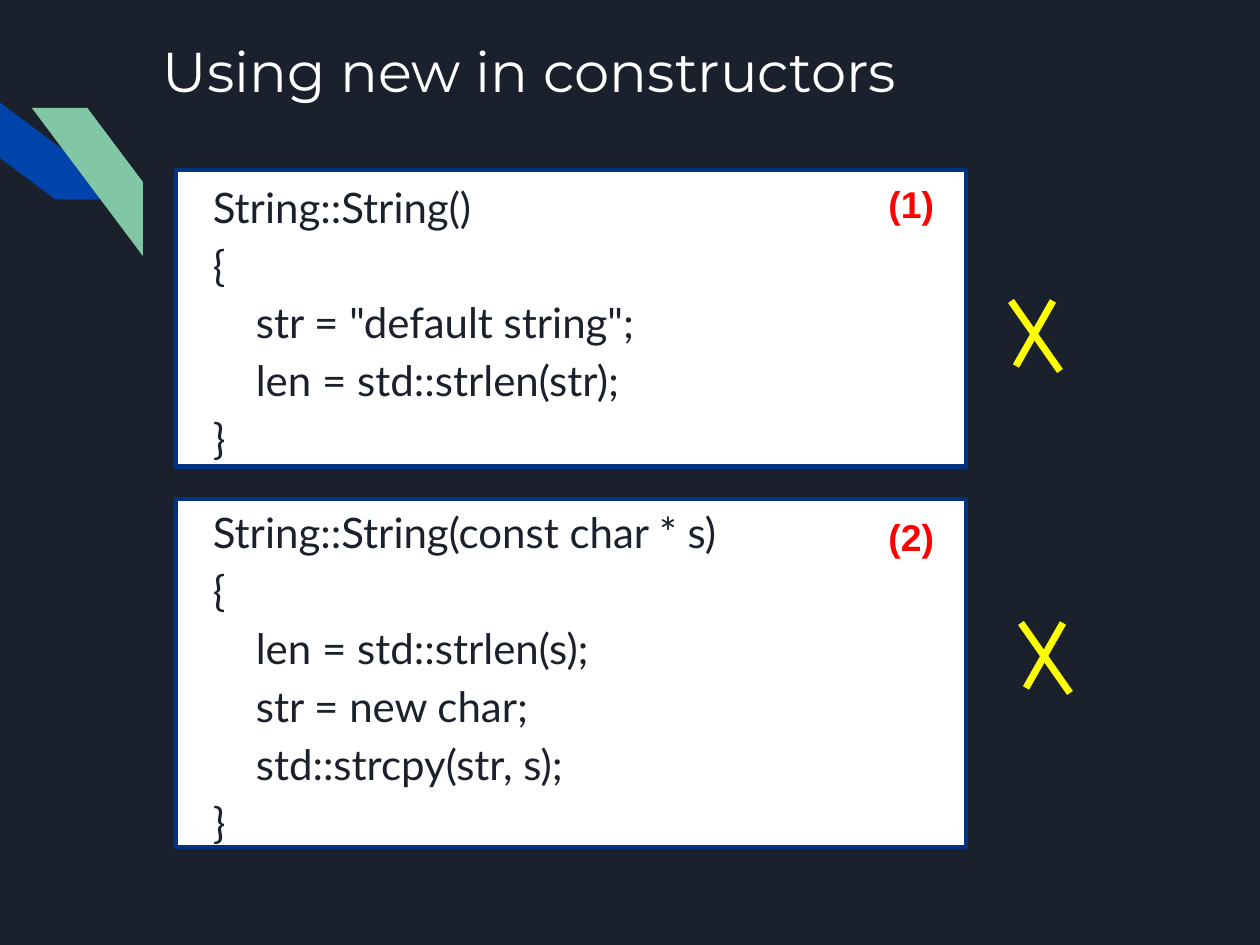
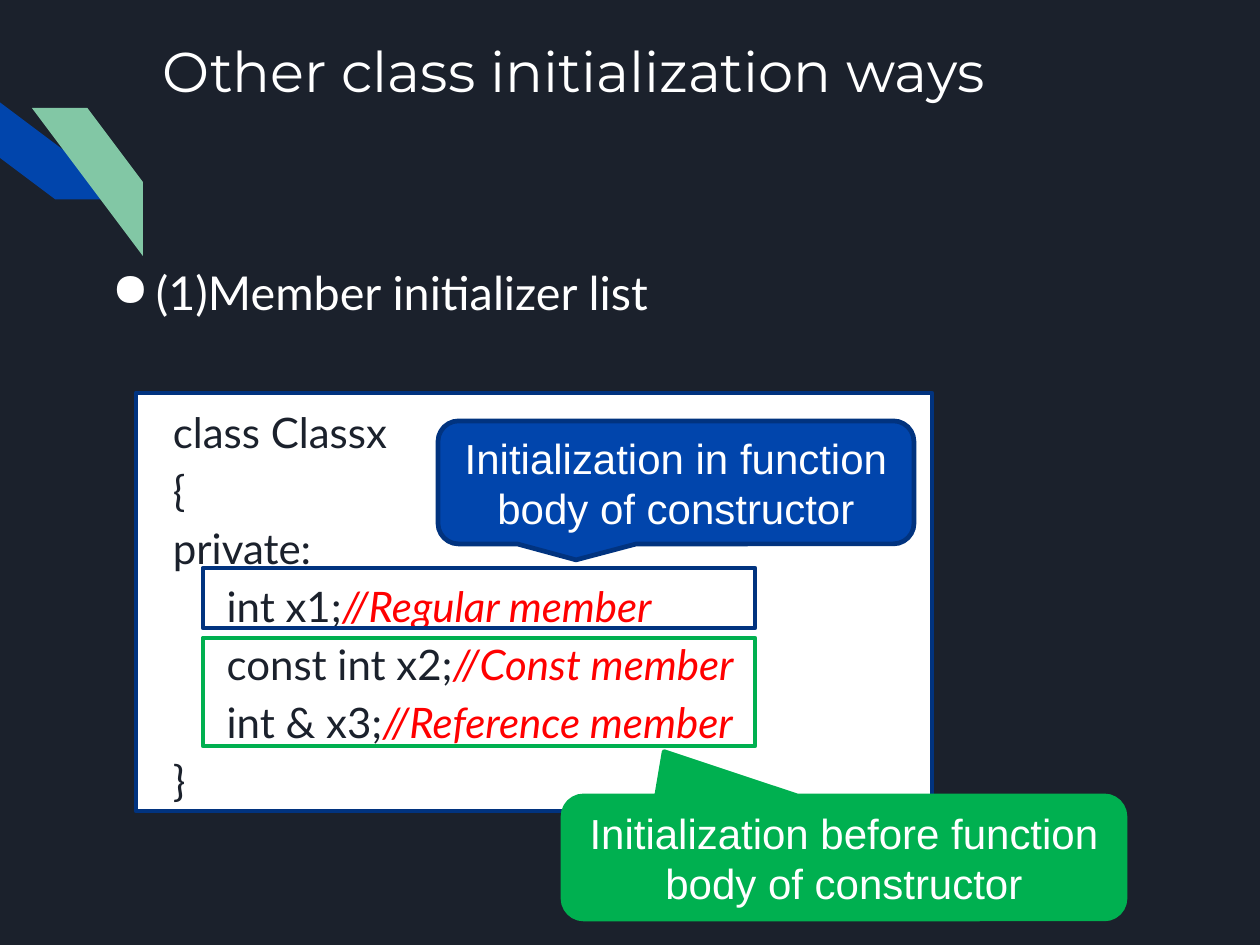
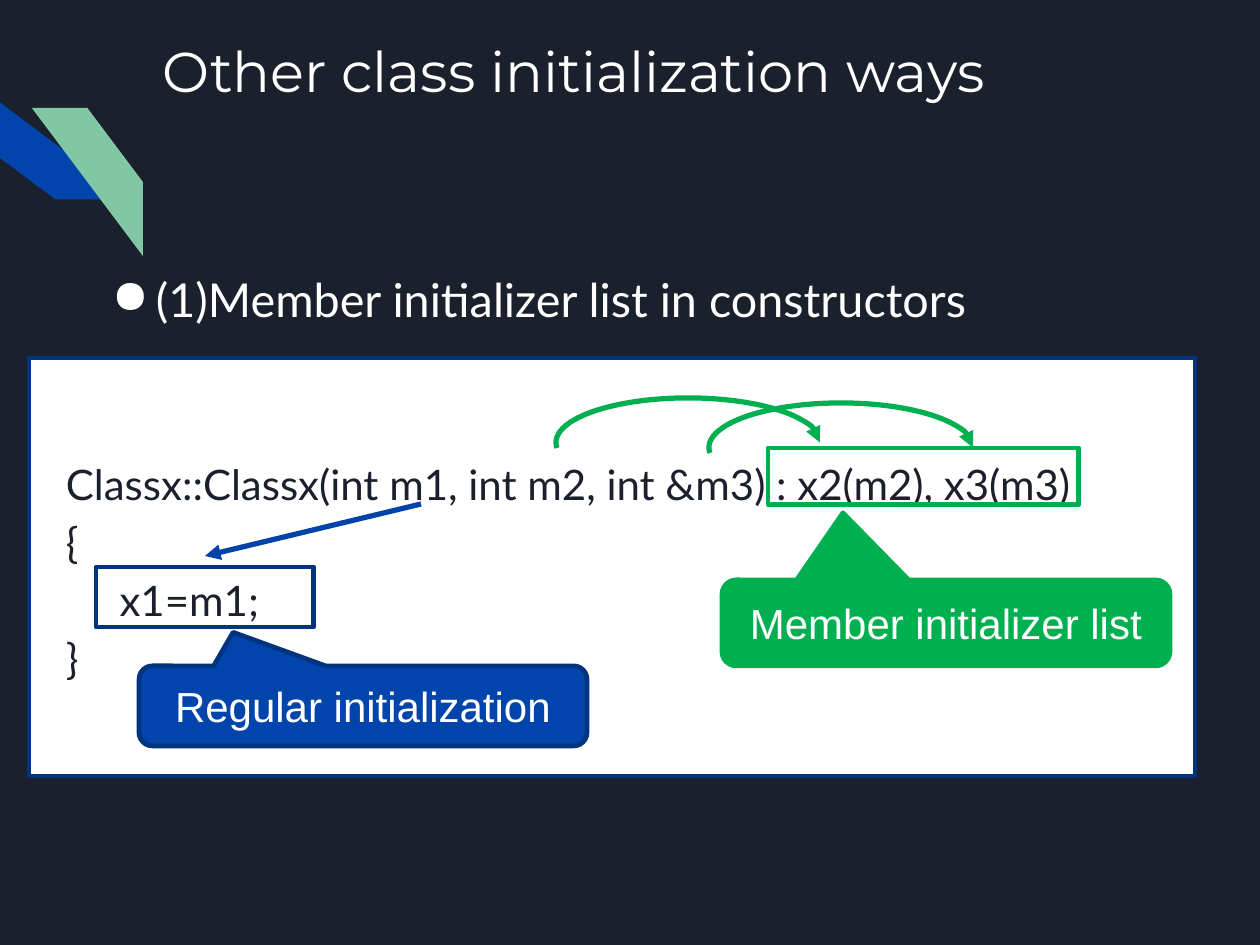
from dataclasses import dataclass
from typing import Optional

from lxml import etree
from pptx import Presentation
from pptx import util as u
from pptx.dml.color import RGBColor
from pptx.enum import shapes, text
from pptx.oxml.ns import qn

EMU_PER_PX = 914400 / 168
SLIDE_W, SLIDE_H = 1260, 945

COLORS = {
    "night": "1B212C",
    "blue": "0145AC",
    "navy": "01337F",
    "arrow_blue": "0043A9",
    "mint": "82C7A5",
    "green": "00B050",
    "yellow": "FFFF00",
    "red": "FF0000",
    "white": "FFFFFF",
}
BODY_FONT, TITLE_FONT, LABEL_FONT = "Lato", "Montserrat", "Arial"
TITLE_ONLY = 5


@dataclass(frozen=True)
class Box:
    left: int
    top: int
    width: int
    height: int

    def emu(self) -> tuple:
        return tuple(map(px, (self.left, self.top, self.width, self.height)))


@dataclass(frozen=True)
class Callout:
    box: Box
    words: str
    fill: str
    line: str
    tip: tuple  # offset from the centre, as shares of width and height


@dataclass(frozen=True)
class Frame:
    box: Box
    color: str


def px(length: int) -> u.Emu:
    return u.Emu(round(length * EMU_PER_PX))


def rgb(name: str) -> RGBColor:
    return RGBColor.from_string(COLORS[name])


def set_font(font, name: str, size: int, color: str, bold: bool = False) -> None:
    font.name, font.size, font.bold = name, u.Pt(size), bold
    font.color.rgb = rgb(color)


def set_insets(frame, side: int, left: Optional[int] = None) -> None:
    frame.margin_top = frame.margin_right = frame.margin_bottom = px(side)
    frame.margin_left = px(side if left is None else left)


def set_line(line, color: str, width: float, arrow: bool = False) -> None:
    line.color.rgb = rgb(color)
    line.width = u.Pt(width)
    if arrow:
        etree.SubElement(line._get_or_add_ln(), qn("a:tailEnd"), type="triangle")


def add_preset(slide, kind, box: Box, fill: Optional[str] = None,
               line: Optional[str] = None, width: float = 2, arrow: bool = False):
    shape = slide.shapes.add_shape(kind, *box.emu())
    shape.shadow.inherit = False
    if fill:
        shape.fill.solid()
        shape.fill.fore_color.rgb = rgb(fill)
    else:
        shape.fill.background()
    if line:
        set_line(shape.line, line, width, arrow)
    else:
        shape.line.fill.background()
    return shape


def add_segment(slide, start: tuple, end: tuple, color: str, width: float,
                arrow: bool = False) -> None:
    segment = slide.shapes.add_connector(
        shapes.MSO_CONNECTOR.STRAIGHT, *map(px, (*start, *end)))
    set_line(segment.line, color, width, arrow)
    etree.SubElement(segment._element.spPr, qn("a:effectLst"))


def add_stripes(slide) -> None:
    stripe = shapes.MSO_SHAPE.DIAGONAL_STRIPE
    blue = add_preset(slide, stripe, Box(0, 70, 111, 148), "blue")
    blue.rotation = 270
    mint = add_preset(slide, stripe, Box(32, 108, 111, 148), "mint")
    mint._element.spPr.xfrm.set("flipH", "1")


def add_titled_slide(prs, heading: str):
    slide = prs.slides.add_slide(prs.slide_layouts[TITLE_ONLY])
    add_stripes(slide)
    title = slide.shapes.title
    title.left, title.top, title.width, title.height = Box(151, 25, 1095, 126).emu()
    frame = title.text_frame
    frame.text = heading
    frame.word_wrap = True
    frame.auto_size = text.MSO_AUTO_SIZE.NONE
    frame.vertical_anchor = text.MSO_ANCHOR.TOP
    set_insets(frame, 12)
    frame.paragraphs[0].alignment = text.PP_ALIGN.LEFT
    set_font(frame.paragraphs[0].font, TITLE_FONT, 24, "white")
    return slide


def add_bullet(slide, words: str, top: int) -> None:
    frame = slide.shapes.add_textbox(*Box(77, top, 1169, 534).emu()).text_frame
    frame.word_wrap = True
    set_insets(frame, 17)
    paragraph = frame.paragraphs[0]
    paragraph.text = words
    paragraph.line_spacing = 1.15
    properties = paragraph._p.get_or_add_pPr()
    properties.set("marL", str(px(62)))
    properties.set("indent", str(px(-44)))
    etree.SubElement(properties, qn("a:buChar"), char="●")
    set_font(paragraph.font, BODY_FONT, 20, "white")


def add_code(slide, box: Box, code: str) -> None:
    """White panel of code; // comments turn red and italic."""
    panel = add_preset(slide, shapes.MSO_SHAPE.RECTANGLE, box, "white", "navy")
    frame = panel.text_frame
    frame.word_wrap = True
    frame.vertical_anchor = text.MSO_ANCHOR.MIDDLE
    set_insets(frame, 17, left=37)
    for index, code_line in enumerate(code.split("\n")):
        paragraph = frame.add_paragraph() if index else frame.paragraphs[0]
        paragraph.alignment = text.PP_ALIGN.LEFT
        paragraph.line_spacing = 1.15
        set_font(paragraph.font, BODY_FONT, 18, "night")
        statement, slashes, remark = code_line.partition("//")
        paragraph.add_run().text = statement
        if slashes:
            comment = paragraph.add_run()
            comment.text = slashes + remark
            comment.font.italic = True
            comment.font.color.rgb = rgb("red")


def add_callout(slide, callout: Callout) -> None:
    bubble = add_preset(slide, shapes.MSO_SHAPE.ROUNDED_RECTANGULAR_CALLOUT,
                        callout.box, callout.fill, callout.line)
    bubble.adjustments[0], bubble.adjustments[1] = callout.tip
    frame = bubble.text_frame
    frame.word_wrap = True
    frame.vertical_anchor = text.MSO_ANCHOR.MIDDLE
    paragraph = frame.paragraphs[0]
    paragraph.text = callout.words
    paragraph.alignment = text.PP_ALIGN.CENTER
    set_font(paragraph.font, LABEL_FONT, 18, "white")


def add_notes_on_code(slide, callouts: list, frames: list) -> None:
    for callout in callouts:
        add_callout(slide, callout)
    for frame in frames:
        add_preset(slide, shapes.MSO_SHAPE.RECTANGLE, frame.box, line=frame.color)


def add_number(slide, words: str, top: int) -> None:
    frame = slide.shapes.add_textbox(*Box(872, top, 118, 62).emu()).text_frame
    frame.word_wrap = True
    frame.text = words
    set_font(frame.paragraphs[0].font, LABEL_FONT, 16, "red", bold=True)


def add_cross(slide, left: int, top: int) -> None:
    for start, end in (((0, 0), (49, 70)), ((42, 0), (5, 65))):
        add_segment(slide, (left + start[0], top + start[1]),
                    (left + end[0], top + end[1]), "yellow", 3)


def add_arc_arrow(slide, left: int, top: int) -> None:
    arc = add_preset(slide, shapes.MSO_SHAPE.ARC, Box(left, top, 264, 89),
                     line="green", width=2.25, arrow=True)
    arc.adjustments[0], arc.adjustments[1] = 106.54, 0


def build_new_in_constructors(prs) -> None:
    slide = add_titled_slide(prs, "Using new in constructors")
    add_code(slide, Box(176, 170, 790, 297), """String::String()
{
    str = "default string";
    len = std::strlen(str);
}""")
    add_code(slide, Box(176, 499, 790, 348), """String::String(const char * s)
{
    len = std::strlen(s);
    str = new char;
    std::strcpy(str, s);
}""")
    add_number(slide, "(1)", 173)
    add_number(slide, "(2)", 506)
    add_cross(slide, 1011, 301)
    add_cross(slide, 1021, 623)


def build_member_kinds(prs) -> None:
    slide = add_titled_slide(prs, "Other class initialization ways")
    add_bullet(slide, "(1)Member initializer list", 239)
    add_code(slide, Box(136, 393, 796, 418), """class Classx
{
private:
     int x1;//Regular member
     const int x2;//Const member
     int & x3;//Reference member
}""")
    add_notes_on_code(slide, [
        Callout(Box(438, 421, 476, 123), "Initialization in function body of constructor",
                "blue", "navy", (-0.21, 0.63)),
        Callout(Box(563, 796, 562, 123), "Initialization before function body of constructor",
                "green", "green", (-0.32, -0.86)),
    ], [
        Frame(Box(203, 568, 552, 60), "navy"),
        Frame(Box(203, 638, 552, 108), "green"),
    ])


def build_initializer_list(prs) -> None:
    slide = add_titled_slide(prs, "Other class initialization ways")
    add_bullet(slide, "(1)Member initializer list in constructors", 246)
    add_code(slide, Box(29, 358, 1166, 418),
             """Classx::Classx(int m1, int m2, int &m3) : x2(m2), x3(m3)
{
     x1=m1;
}""")
    add_notes_on_code(slide, [
        Callout(Box(139, 666, 448, 80), "Regular initialization",
                "blue", "navy", (-0.29, -0.92)),
        Callout(Box(722, 580, 448, 86), "Member initializer list",
                "green", "green", (-0.23, -1.28)),
    ], [
        Frame(Box(96, 567, 218, 60), "navy"),
        Frame(Box(768, 448, 311, 57), "green"),
    ])
    # Arrows from parameters to the members they set
    add_arc_arrow(slide, 556, 398)
    add_arc_arrow(slide, 709, 403)
    add_segment(slide, (421, 504), (205, 556), "arrow_blue", 2.25, arrow=True)


def main() -> None:
    prs = Presentation()
    prs.slide_width, prs.slide_height = px(SLIDE_W), px(SLIDE_H)
    backdrop = prs.slide_master.background.fill
    backdrop.solid()
    backdrop.fore_color.rgb = rgb("night")
    build_new_in_constructors(prs)
    build_member_kinds(prs)
    build_initializer_list(prs)
    prs.save("out.pptx")


if __name__ == "__main__":
    main()
